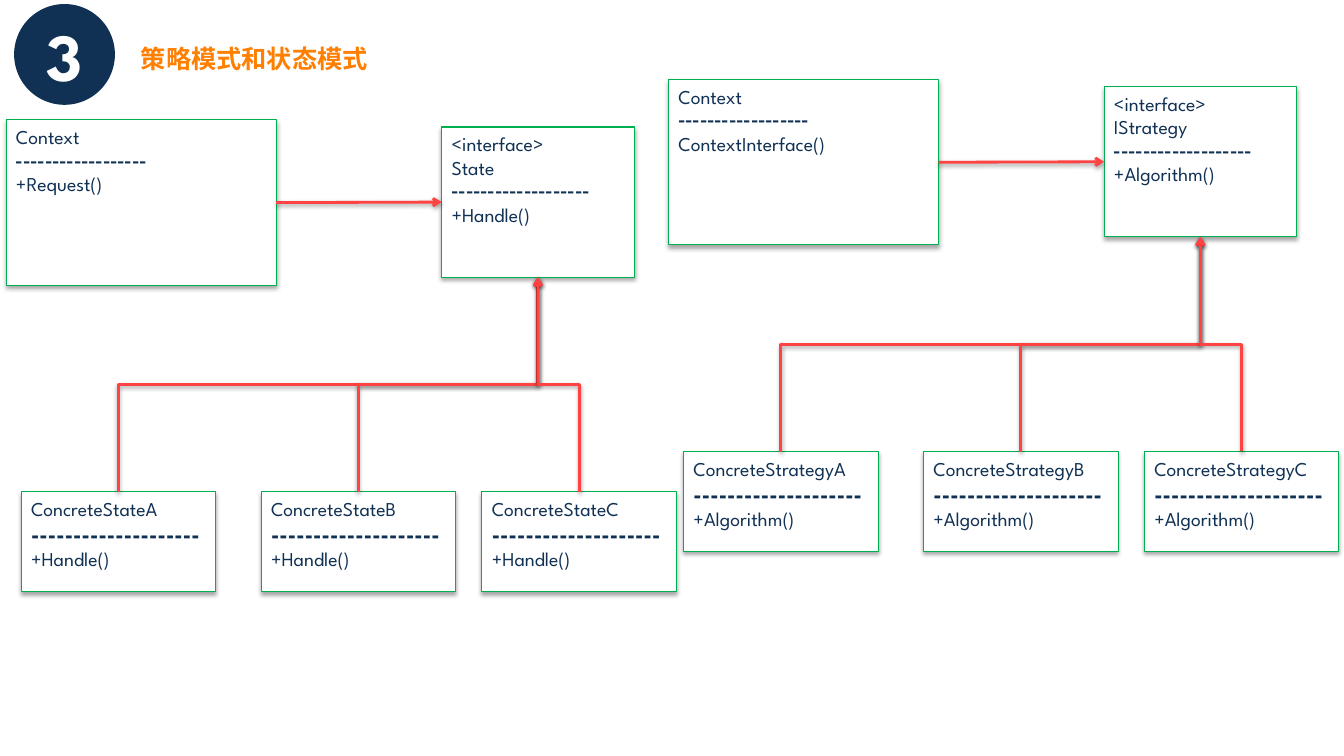
from lxml.etree import SubElement
from pptx import Presentation
from pptx.dml.color import RGBColor
from pptx.enum.shapes import MSO_CONNECTOR as Link, MSO_SHAPE as Preset
from pptx.enum.text import MSO_ANCHOR as Anchor, MSO_AUTO_SIZE as AutoSize, PP_ALIGN as Align
from pptx.oxml.ns import qn
from pptx.util import Emu, Pt

COLORS = {"navy": "103154", "orange": "FF7F01", "green": "00B050",
          "red": "FF4343", "white": "FFFFFF", "black": "000000"}
LATIN, CJK = "League Spartan", "Noto Sans CJK SC"
CONTEXT_SIZE, INTERFACE_SIZE, CONCRETE_SIZE = (268, 164), (191, 149), (193, 99)
INTERFACE_OFFSET = (432, 7)
CONCRETE_LEFTS, CONCRETE_DROP = (15, 253, 472), 369


def px(count):
    """Turn a length of 1/100 inch into EMU."""
    return Emu(round(count * 9144))


def rgb(name):
    """Look up a palette colour."""
    return RGBColor.from_string(COLORS[name])


def style_text(paragraph, size, color, bold=False, font=LATIN):
    """Format every run of a paragraph."""
    for run in paragraph.runs:
        run.font.name, run.font.size, run.font.bold = font, Pt(size), bold
        run.font.color.rgb = rgb(color)


def add_shadow(effects, distance, opacity):
    """Fill an effect list with a soft downward shadow."""
    shadow = SubElement(effects, qn("a:outerShdw"), blurRad="40000", dist=str(distance),
                        dir="5400000", rotWithShape="0")
    shade = SubElement(shadow, qn("a:srgbClr"), val=COLORS["black"])
    SubElement(shade, qn("a:alpha"), val=str(opacity * 1000))


def add_badge(slide, number):
    """Draw the round section number."""
    badge = slide.shapes.add_shape(Preset.OVAL, px(14), px(4), px(100), px(100))
    badge.shadow.inherit = False
    badge.fill.solid()
    badge.fill.fore_color.rgb = rgb("navy")
    badge.line.fill.background()
    frame = badge.text_frame
    frame.text = number
    frame.vertical_anchor = Anchor.MIDDLE
    frame.paragraphs[0].alignment = Align.CENTER
    style_text(frame.paragraphs[0], 48, "white", True)


def add_title(slide, wording):
    """Write the slide title."""
    frame = slide.shapes.add_textbox(px(130), px(29), px(854), px(49)).text_frame
    frame.text = wording
    frame.word_wrap = True
    frame.auto_size = AutoSize.SHAPE_TO_FIT_TEXT
    frame.vertical_anchor = Anchor.MIDDLE
    frame.paragraphs[0].line_spacing = 1.3
    style_text(frame.paragraphs[0], 18, "orange", True)


def add_class(slide, left, top, size, names, method, dashes, dash_size=14, dash_font=CJK):
    """Draw a class box with its names, a dashed rule and a method."""
    box = slide.shapes.add_shape(Preset.RECTANGLE, px(left), px(top), *map(px, size))
    box.fill.solid()
    box.fill.fore_color.rgb = rgb("white")
    box.line.color.rgb = rgb("green")
    box.line.width = Pt(0.75)
    box.shadow.inherit = False
    add_shadow(box.element.spPr.find(qn("a:effectLst")), 23000, 35)
    frame = box.text_frame
    rule = "-" * dashes
    frame.text = "\n".join([*names, rule, method])
    frame.vertical_anchor = Anchor.TOP
    for paragraph in frame.paragraphs:
        paragraph.alignment = Align.LEFT
        if paragraph.text == rule:
            style_text(paragraph, dash_size, "navy", True, dash_font)
        else:
            style_text(paragraph, 14, "navy")
    return box


def style_arrow(arrow):
    """Give a connector its red line, arrowhead and shadow."""
    arrow.line.color.rgb = rgb("red")
    arrow.line.width = Pt(2)
    properties = arrow.element.spPr
    SubElement(properties.find(qn("a:ln")), qn("a:tailEnd"), type="arrow")
    add_shadow(SubElement(properties, qn("a:effectLst")), 20000, 38)


def add_use_arrow(slide, context, interface):
    """Point from the context to the interface it uses."""
    arrow = slide.shapes.add_connector(Link.STRAIGHT, 0, 0, 0, 0)
    arrow.begin_connect(context, 3)
    arrow.end_connect(interface, 1)
    style_arrow(arrow)


def add_inherit_arrow(slide, concrete, interface):
    """Rise from a concrete class and bend to its interface."""
    start_x = concrete.left + concrete.width // 2
    end_x = interface.left + interface.width // 2
    end_y = interface.top + interface.height
    rise, run = concrete.top - end_y, abs(end_x - start_x)
    left = (start_x + end_x - rise) // 2
    top = (concrete.top + end_y - run) // 2
    ends = (top, top + run) if start_x < end_x else (top + run, top)
    arrow = slide.shapes.add_connector(Link.ELBOW, left, ends[0], left + rise, ends[1])
    arrow.element.spPr.find(qn("a:xfrm")).set("rot", str(270 * 60000))
    style_arrow(arrow)


def add_pattern(slide, left, top, role, interface_name, request, method):
    """Draw one pattern: context, interface and three concrete classes."""
    context = add_class(slide, left, top, CONTEXT_SIZE, ["Context"], request, 18)
    across, down = INTERFACE_OFFSET
    interface = add_class(slide, left + across, top + down, INTERFACE_SIZE,
                          ["<interface>", interface_name], method, 19)
    add_use_arrow(slide, context, interface)
    for letter, offset in zip("ABC", CONCRETE_LEFTS):
        concrete = add_class(slide, left + offset, top + CONCRETE_DROP, CONCRETE_SIZE,
                             [f"Concrete{role}{letter}"], method, 20, 16, LATIN)
        add_inherit_arrow(slide, concrete, interface)


def main():
    """Build and save the slide."""
    deck = Presentation()
    deck.slide_width, deck.slide_height = px(1333), px(750)
    slide = deck.slides.add_slide(deck.slide_layouts[6])
    add_badge(slide, "3")
    add_title(slide, "策略模式和状态模式")
    add_pattern(slide, 663, 79, "Strategy", "IStrategy", "ContextInterface()", "+Algorithm()")
    add_pattern(slide, 6, 119, "State", "State", "+Request()", "+Handle()")
    deck.save("out.pptx")


if __name__ == "__main__":
    main()
